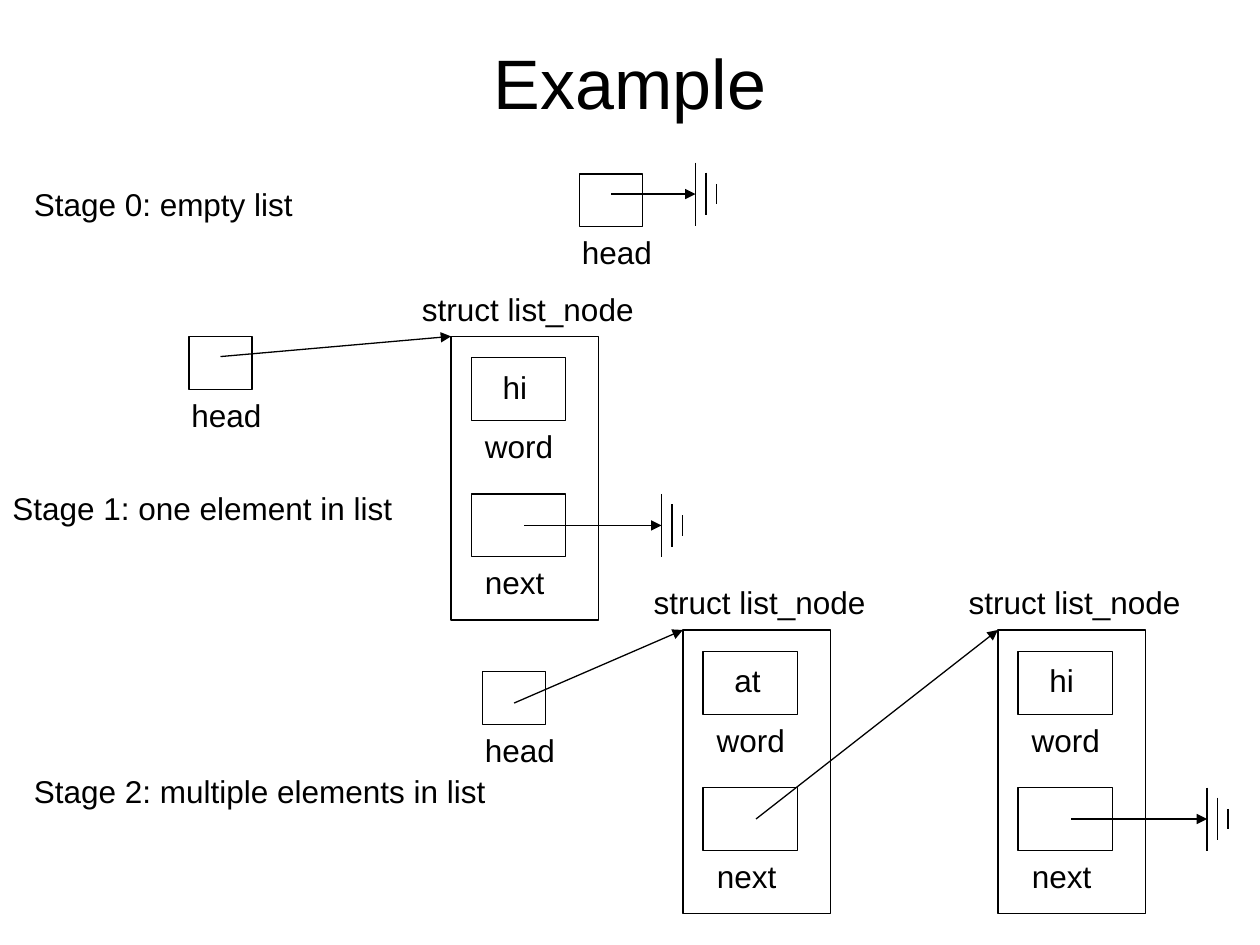
import dataclasses

import pptx
import pptx.dml.color
import pptx.enum.shapes
import pptx.enum.text
import pptx.oxml
import pptx.oxml.ns
import pptx.util

Inches = pptx.util.Inches


@dataclasses.dataclass
class Theme:
    font: str = "Arial"
    ink: str = "000000"
    title_size: float = 40
    text_size: float = 18
    line_width: float = 0.75


class Diagram:
    def __init__(self, slide, theme):
        self.s = slide
        self.theme = theme
        self.ink = pptx.dml.color.RGBColor.from_string(theme.ink)

    def format_text(self, tf, size, align):
        tf.vertical_anchor = pptx.enum.text.MSO_ANCHOR.TOP
        for p in tf.paragraphs:
            p.alignment = align
            for r in p.runs:
                r.font.name = self.theme.font
                r.font.size = pptx.util.Pt(size)
                r.font.color.rgb = self.ink

    def format_line(self, line):
        line.color.rgb = self.ink
        line.width = pptx.util.Pt(self.theme.line_width)

    def title(self, text, x, y, w, h):
        sp = self.s.shapes.title
        sp.left, sp.top, sp.width, sp.height = map(Inches, (x, y, w, h))
        tf = sp.text_frame
        tf.text = text
        self.format_text(tf, self.theme.title_size, pptx.enum.text.PP_ALIGN.CENTER)
        tf.vertical_anchor = pptx.enum.text.MSO_ANCHOR.MIDDLE

    def label(self, text, x, y, w):
        sp = self.s.shapes.add_textbox(Inches(x), Inches(y), Inches(w), Inches(0.4))
        tf = sp.text_frame
        tf.text = text
        tf.word_wrap = False
        tf.auto_size = pptx.enum.text.MSO_AUTO_SIZE.SHAPE_TO_FIT_TEXT
        self.format_text(tf, self.theme.text_size, pptx.enum.text.PP_ALIGN.LEFT)

    def box(self, x, y, w, h):
        sp = self.s.shapes.add_shape(
            pptx.enum.shapes.MSO_SHAPE.RECTANGLE, Inches(x), Inches(y), Inches(w), Inches(h))
        sp.shadow.inherit = False
        sp.fill.background()
        self.format_line(sp.line)

    def line(self, start, end, arrow=False):
        sp = self.s.shapes.add_connector(
            pptx.enum.shapes.MSO_CONNECTOR.STRAIGHT, *map(Inches, (*start, *end)))
        self.format_line(sp.line)
        qn = pptx.oxml.ns.qn
        if arrow:
            ln = sp.line._get_or_add_ln()
            ln.append(ln.makeelement(qn("a:tailEnd"), {"type": "triangle"}))
        pr = sp._element.spPr
        pr.append(pr.makeelement(qn("a:effectLst"), {}))

    def null_pointer(self, start, x):
        """Arrow to a ground symbol: three ever shorter bars from x on."""
        y = start[1]
        self.line(start, (x, y), arrow=True)
        for i, half in enumerate((0.25, 0.17, 0.08)):
            bar_x = x + i / 12
            self.line((bar_x, y - half), (bar_x, y + half))

    def head(self, x, y):
        self.box(x, y, 0.5, 0.42)
        self.label("head", x - 0.08, y + 0.42, 0.77)

    def node(self, x, y, word, word_width):
        """Draw a list node and return where its next pointer starts."""
        self.box(x, y, 1.17, 2.25)
        self.label("struct list_node", x - 0.33, y - 0.42, 1.9)
        for name, width, dy in (("word", 0.76, 0.17), ("next", 0.69, 1.25)):
            self.box(x + 0.16, y + dy, 0.75, 0.5)
            self.label(name, x + 0.17, y + dy + 0.5, width)
        self.label(word, x + 0.31, y + 0.2, word_width)
        return x + 0.58, y + 1.5


def main():
    prs = pptx.Presentation()
    prs.slide_width, prs.slide_height = Inches(10), Inches(7.5)
    d = Diagram(prs.slides.add_slide(prs.slide_layouts[5]), Theme())
    d.title("Example", 0.5, 0.3, 9, 0.7)

    d.label("Stage 0: empty list", 0.17, 1.42, 2.28)
    d.head(4.6, 1.38)
    d.null_pointer((4.85, 1.54), 5.52)

    d.label("Stage 1: one element in list", 0, 3.83, 3.24)
    only = (3.58, 2.67)
    d.null_pointer(d.node(*only, "hi", 0.42), 5.25)
    d.head(1.5, 2.67)
    d.line((1.75, 2.83), only, arrow=True)

    d.label("Stage 2: multiple elements in list", 0.17, 6.08, 3.81)
    first, second = (5.42, 5), (7.92, 5)
    d.null_pointer(d.node(*second, "hi", 0.42), 9.58)
    d.line(d.node(*first, "at", 0.44), second, arrow=True)
    d.head(3.83, 5.33)
    d.line((4.08, 5.58), first, arrow=True)

    prs.save("out.pptx")


if __name__ == "__main__":
    main()
